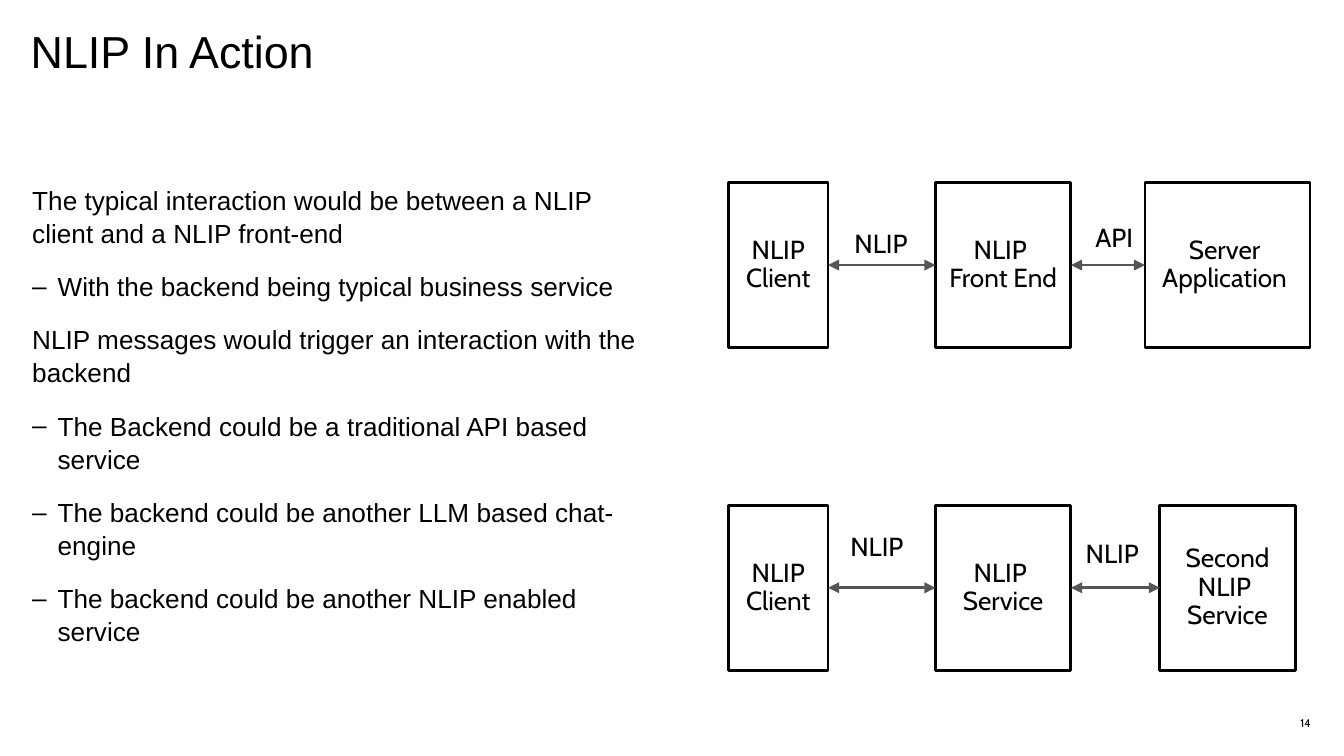
from dataclasses import dataclass

from lxml import etree
from pptx import Presentation
from pptx.dml.color import RGBColor
from pptx.enum.shapes import MSO_CONNECTOR, MSO_SHAPE
from pptx.enum.text import MSO_ANCHOR, MSO_AUTO_SIZE, PP_ALIGN
from pptx.oxml.ns import qn
from pptx.util import Cm, Pt

RECTANGLE = MSO_SHAPE.RECTANGLE
STRAIGHT = MSO_CONNECTOR.STRAIGHT
TOP, MIDDLE = MSO_ANCHOR.TOP, MSO_ANCHOR.MIDDLE
LEFT, CENTER, RIGHT = PP_ALIGN.LEFT, PP_ALIGN.CENTER, PP_ALIGN.RIGHT
NO_FIT, GROW = MSO_AUTO_SIZE.NONE, MSO_AUTO_SIZE.SHAPE_TO_FIT_TEXT
LEFT_SITE, RIGHT_SITE = 1, 3


@dataclass(frozen=True)
class Theme:
    ink: RGBColor = RGBColor(0x00, 0x00, 0x00)
    arrow: RGBColor = RGBColor(0x56, 0x56, 0x56)
    prose_font: str = "Arial"
    diagram_font: str = "Cabin"
    title_size: Pt = Pt(24)
    text_size: Pt = Pt(14)
    number_size: Pt = Pt(6)
    paragraph_gap: Pt = Pt(11)
    stroke: Pt = Pt(1.5)


class InteractionSlide:
    """Styled slide with a method for each kind of element."""

    def __init__(self, deck, theme):
        self.theme = theme
        self.slide = deck.slides.add_slide(deck.slide_layouts[5])

    def set_text(self, frame, lines, font, size, align=LEFT, spacing=None):
        for index, line in enumerate(lines):
            paragraph = frame.paragraphs[0] if index == 0 else frame.add_paragraph()
            paragraph.text = line
            paragraph.alignment = align
            paragraph.line_spacing = spacing
            paragraph.font.name = font
            paragraph.font.size = size
            paragraph.font.color.rgb = self.theme.ink

    def set_frame(self, frame, inset, anchor):
        frame.margin_left = frame.margin_right = Cm(inset)
        frame.margin_top = frame.margin_bottom = Cm(inset)
        frame.vertical_anchor = anchor
        frame.word_wrap = True
        frame.auto_size = NO_FIT

    def text_box(self, left, top, width, height):
        return self.slide.shapes.add_textbox(
            Cm(left), Cm(top), Cm(width), Cm(height)).text_frame

    def title(self, wording, left, top, width, height):
        heading = self.slide.shapes.title
        heading.left, heading.top = Cm(left), Cm(top)
        heading.width, heading.height = Cm(width), Cm(height)
        self.set_frame(heading.text_frame, 0, TOP)
        self.set_text(heading.text_frame, [wording], self.theme.prose_font,
                      self.theme.title_size, spacing=0.9)

    def outline(self, points, left, top, width, height):
        frame = self.text_box(left, top, width, height)
        self.set_frame(frame, 0, TOP)
        self.set_text(frame, [wording for _, wording in points],
                      self.theme.prose_font, self.theme.text_size, spacing=1.05)
        for paragraph, (level, _) in zip(frame.paragraphs, points):
            paragraph.level = level
            paragraph.space_before = self.theme.paragraph_gap
            if level:
                self.dash(paragraph)

    def dash(self, paragraph):
        properties = paragraph._p.get_or_add_pPr()
        properties.set("marL", str(Cm(0.48)))
        properties.set("indent", str(Cm(-0.48)))
        etree.SubElement(properties, qn("a:buFont")).set("typeface", self.theme.prose_font)
        etree.SubElement(properties, qn("a:buChar")).set("char", "–")
        run_defaults = properties.find(qn("a:defRPr"))
        properties.append(run_defaults)

    def node(self, lines, left, top, width, height):
        box = self.slide.shapes.add_shape(
            RECTANGLE, Cm(left), Cm(top), Cm(width), Cm(height))
        box.shadow.inherit = False
        box.fill.background()
        box.line.color.rgb = self.theme.ink
        box.line.width = self.theme.stroke
        self.set_frame(box.text_frame, 0.1, MIDDLE)
        self.set_text(box.text_frame, lines, self.theme.diagram_font,
                      self.theme.text_size, CENTER, 0.9)
        return box

    def exchange(self, source, target):
        link = self.slide.shapes.add_connector(STRAIGHT, 0, 0, 0, 0)
        link.begin_connect(source, RIGHT_SITE)
        link.end_connect(target, LEFT_SITE)
        link.line.color.rgb = self.theme.arrow
        link.line.width = self.theme.stroke
        stroke = link._element.spPr.find(qn("a:ln"))
        for end in ("a:headEnd", "a:tailEnd"):
            etree.SubElement(stroke, qn(end)).set("type", "triangle")
        etree.SubElement(link._element.spPr, qn("a:effectLst"))

    def protocol(self, wording, left, top, width, height):
        frame = self.text_box(left, top, width, height)
        frame.word_wrap = False
        frame.auto_size = GROW
        self.set_text(frame, [wording], self.theme.diagram_font, self.theme.text_size)

    def page_number(self, number, left, top, width, height):
        frame = self.text_box(left, top, width, height)
        self.set_frame(frame, 0, MIDDLE)
        self.set_text(frame, [number], self.theme.diagram_font,
                      self.theme.number_size, RIGHT)


POINTS = [
    (0, "The typical interaction would be between a NLIP client and a NLIP front-end"),
    (1, "With the backend being typical business service"),
    (0, "NLIP messages would trigger an interaction with the backend"),
    (1, "The Backend could be a traditional API based service"),
    (1, "The backend could be another LLM based chat-engine"),
    (1, "The backend could be another NLIP enabled service"),
]
NODE_HEIGHT = 3.12
CLIENT = (["NLIP Client"], 13.77, 1.88)
FLOWS = [
    (3.45, [CLIENT, (["NLIP ", "Front End"], 17.68, 2.56),
            (["Server \vApplication "], 21.64, 3.12)]),
    (9.55, [CLIENT, (["NLIP ", "Service"], 17.68, 2.56),
            (["Second", "NLIP ", "Service"], 21.92, 2.56)]),
]
PROTOCOLS = [
    ("NLIP", 15.9, 4.17, 1.63, 0.86),
    ("API", 20.45, 4.06, 1.35, 0.86),
    ("NLIP", 15.82, 9.91, 1.63, 0.86),
    ("NLIP", 20.27, 10.03, 1.63, 0.86),
]


def main():
    deck = Presentation()
    deck.slide_width, deck.slide_height = Cm(25.4), Cm(14.29)
    page = InteractionSlide(deck, Theme())
    page.title("NLIP In Action", 0.58, 0.56, 11.5, 2.24)
    page.outline(POINTS, 0.61, 3.45, 11.46, 9.04)
    page.page_number("14", 19.69, 13.44, 5.08, 0.46)
    for top, parties in FLOWS:
        nodes = [page.node(lines, left, top, width, NODE_HEIGHT)
                 for lines, left, width in parties]
        for source, target in zip(nodes, nodes[1:]):
            page.exchange(source, target)
    for label in PROTOCOLS:
        page.protocol(*label)
    deck.save("out.pptx")


if __name__ == "__main__":
    main()
